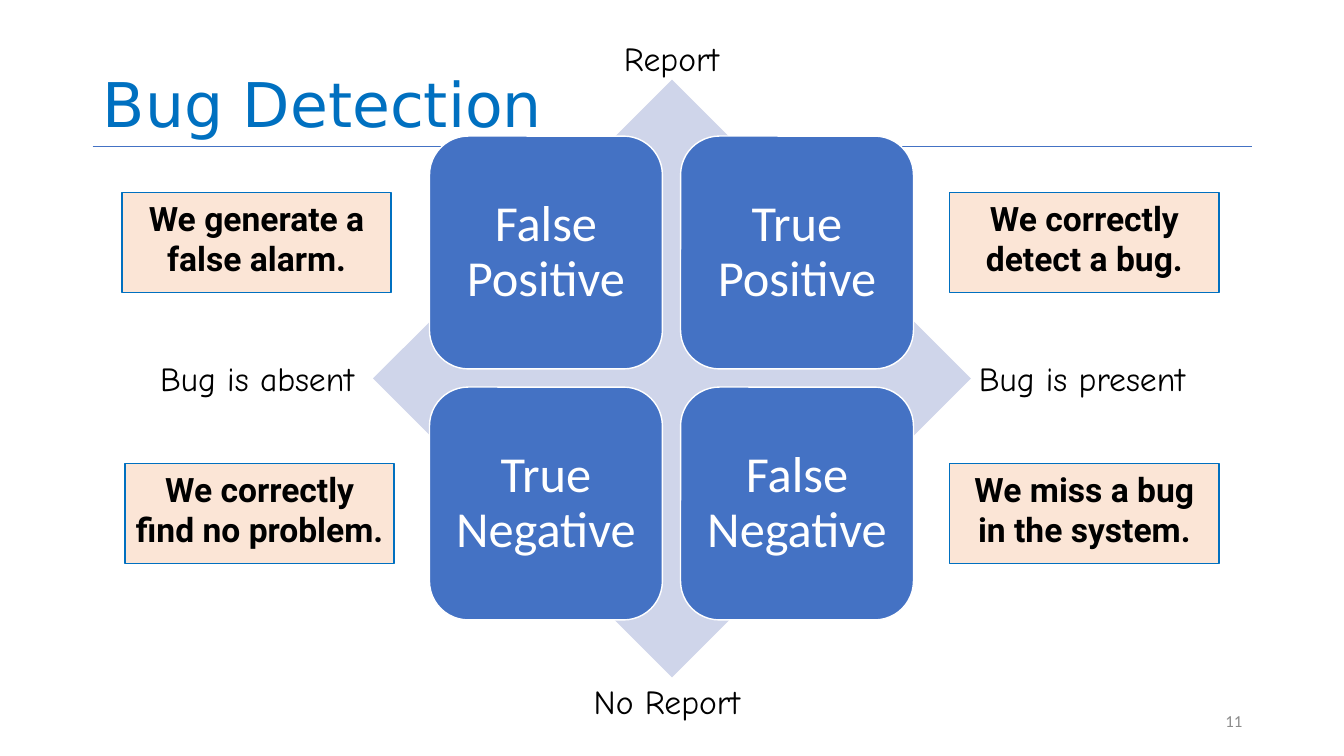
from dataclasses import dataclass

from lxml import etree
from pptx import Presentation
from pptx.dml.color import RGBColor
from pptx.enum.shapes import MSO_CONNECTOR, MSO_SHAPE
from pptx.enum.text import MSO_ANCHOR, MSO_AUTO_SIZE, PP_ALIGN
from pptx.oxml.ns import qn
from pptx.util import Emu, Pt

DIAMOND, ROUNDED, RECTANGLE = MSO_SHAPE.DIAMOND, MSO_SHAPE.ROUNDED_RECTANGLE, MSO_SHAPE.RECTANGLE
LEFT, CENTER, RIGHT = PP_ALIGN.LEFT, PP_ALIGN.CENTER, PP_ALIGN.RIGHT
TOP, MIDDLE, BOTTOM = MSO_ANCHOR.TOP, MSO_ANCHOR.MIDDLE, MSO_ANCHOR.BOTTOM
TITLE_ONLY = 5


@dataclass(frozen=True)
class TextStyle:
    font: str
    size: int
    color: str
    bold: bool = False


@dataclass(frozen=True)
class Theme:
    rule: str = "4472C4"
    diamond: str = "CFD5EA"
    tile: str = "4472C4"
    tile_edge: str = "FFFFFF"
    note: str = "FBE5D6"
    note_edge: str = "0070C0"
    title_text: TextStyle = TextStyle("DejaVu Sans", 44, "0070C0")
    tile_text: TextStyle = TextStyle("Calibri", 36, "FFFFFF")
    note_text: TextStyle = TextStyle("Roboto", 24, "000000", True)
    axis_text: TextStyle = TextStyle("Comic Neue", 24, "000000")
    number_text: TextStyle = TextStyle("Calibri", 12, "8C8C8C")


THEME = Theme()


def px(length):
    """Turn layout pixels, 100 to the inch, into EMU."""
    return Emu(length * 9144)


def place(shape, box):
    shape.left, shape.top, shape.width, shape.height = map(px, box)


def write(shape, text, style, align=LEFT, anchor=TOP, spacing=1.0):
    frame = shape.text_frame
    frame.text = text
    frame.vertical_anchor = anchor
    for paragraph in frame.paragraphs:
        paragraph.alignment = align
        paragraph.line_spacing = spacing
        for run in paragraph.runs:
            run.font.name = style.font
            run.font.size = Pt(style.size)
            run.font.bold = style.bold
            run.font.color.rgb = RGBColor.from_string(style.color)
    return frame


def add_filled(slide, kind, box, fill, edge=None):
    shape = slide.shapes.add_shape(kind, *map(px, box))
    shape.shadow.inherit = False
    shape.fill.solid()
    shape.fill.fore_color.rgb = RGBColor.from_string(fill)
    if edge:
        shape.line.color.rgb = RGBColor.from_string(edge)
        shape.line.width = Pt(1)
    else:
        shape.line.fill.background()
    return shape


# Title with the rule along its lower edge
def add_heading(slide, box, text):
    left, top, width, height = box
    title = slide.shapes.title
    place(title, box)
    frame = write(title, text, THEME.title_text, anchor=BOTTOM, spacing=0.9)
    frame.auto_size = MSO_AUTO_SIZE.NONE
    base = top + height
    rule = slide.shapes.add_connector(
        MSO_CONNECTOR.STRAIGHT, px(left), px(base), px(left + width), px(base))
    rule.line.color.rgb = RGBColor.from_string(THEME.rule)
    rule.line.width = Pt(0.5)
    etree.SubElement(rule._element.spPr, qn("a:effectLst"))


# Diamond with two rows of two tiles centred on it
def add_matrix(slide, box, rows):
    left, top, width, _ = box
    tile_side, gap = 231, 18
    margin = (width - 2 * tile_side - gap) // 2
    add_filled(slide, DIAMOND, box, THEME.diamond)
    for row, names in enumerate(rows):
        for column, name in enumerate(names):
            tile_box = (left + margin + column * (tile_side + gap),
                        top + margin + row * (tile_side + gap), tile_side, tile_side)
            tile = add_filled(slide, ROUNDED, tile_box, THEME.tile, THEME.tile_edge)
            frame = write(tile, name, THEME.tile_text, CENTER, MIDDLE, 0.9)
            frame.margin_left = frame.margin_right = px(14)
            frame.margin_top = frame.margin_bottom = px(14)


# Explanation beside a tile
def add_note(slide, box, text):
    note = add_filled(slide, RECTANGLE, box, THEME.note, THEME.note_edge)
    write(note, text, THEME.note_text, CENTER)


# Name at one end of an axis
def add_axis_label(slide, box, text):
    label = slide.shapes.add_textbox(*map(px, box))
    frame = write(label, text, THEME.axis_text)
    frame.word_wrap = False
    frame.auto_size = MSO_AUTO_SIZE.SHAPE_TO_FIT_TEXT


def add_page_number(slide, box, text):
    number = slide.shapes.add_textbox(*map(px, box))
    frame = write(number, text, THEME.number_text, RIGHT, MIDDLE)
    frame.word_wrap = True


def build_bug_detection(presentation):
    slide = presentation.slides.add_slide(presentation.slide_layouts[TITLE_ONLY])
    add_heading(slide, (92, 0, 1150, 145), "Bug Detection")
    add_page_number(slide, (942, 695, 300, 40), "11")
    add_matrix(slide, (370, 79, 593, 593), [
        ("False Positive", "True Positive"),
        ("True Negative", "False Negative"),
    ])

    note_width, note_height = 267, 99
    upper, lower, right_side = 191, 460, 942
    for left, top, text in [
        (121, upper, "We generate a\nfalse alarm."),
        (right_side, upper, "We correctly\ndetect a bug."),
        (124, lower, "We correctly\nfind no problem."),
        (right_side, lower, "We miss a bug\nin the system."),
    ]:
        add_note(slide, (left, top, note_width, note_height), text)

    label_height = 50
    for left, top, width, text in [
        (961, 350, 236, "Bug is present"),
        (149, 350, 224, "Bug is absent"),
        (609, 33, 125, "Report"),
        (579, 671, 176, "No Report"),
    ]:
        add_axis_label(slide, (left, top, width, label_height), text)


def main():
    presentation = Presentation()
    presentation.slide_width, presentation.slide_height = px(1333), px(750)
    build_bug_detection(presentation)
    presentation.save("out.pptx")


if __name__ == "__main__":
    main()
